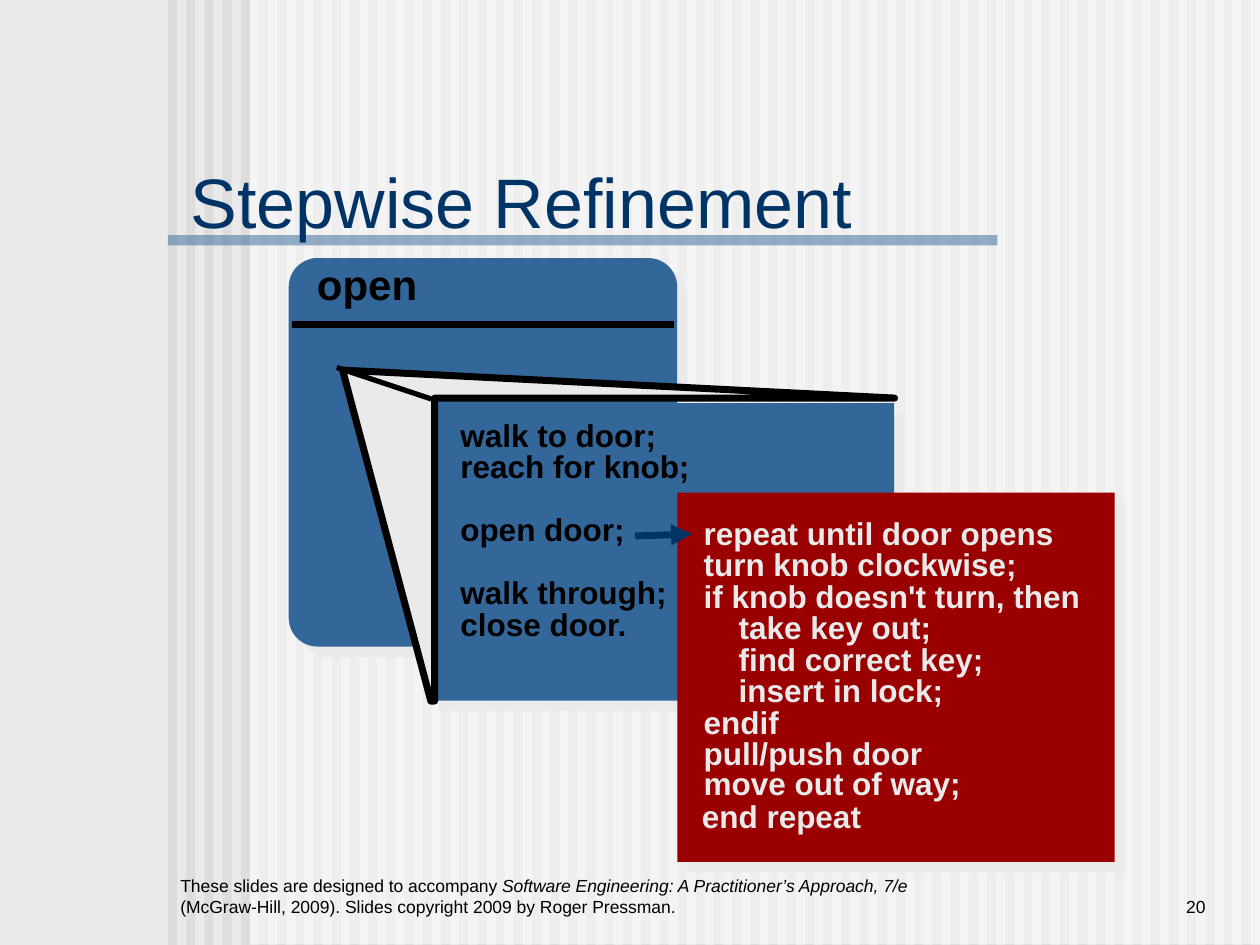
from dataclasses import dataclass

import lxml.etree
import pptx
import pptx.dml.color
import pptx.enum.shapes
import pptx.enum.text
import pptx.oxml
import pptx.oxml.ns
import pptx.util

Pt = pptx.util.Pt
qn = pptx.oxml.ns.qn
MSO_SHAPE = pptx.enum.shapes.MSO_SHAPE
MSO_ANCHOR = pptx.enum.text.MSO_ANCHOR
PP_ALIGN = pptx.enum.text.PP_ALIGN
NS = pptx.oxml.ns.nsdecls("a")

BLACK, NAVY, BLUE, RED, GREY = "000000", "003366", "336699", "9A0000", "EAEAEA"


@dataclass
class Panel:
    left: float
    top: float
    width: float
    height: float
    fill: str
    rounding: float = 0
    alpha: int = 100
    shadow: bool = False


@dataclass
class Label:
    left: float
    top: float
    width: float
    height: float
    lines: list[str]
    color: str
    size: float = 18
    spacing: float = 1.0


@dataclass
class Line:
    x1: float
    y1: float
    x2: float
    y2: float
    color: str
    width: float
    arrow: bool = False


def rgb(color: str):
    return pptx.dml.color.RGBColor.from_string(color)


def add_run(p, text: str, size: float, color: str, bold=False, italic=False) -> None:
    r = p.add_run()
    r.text = text
    r.font.name = "Arial"
    r.font.size = Pt(size)
    r.font.bold = bold
    r.font.italic = italic
    r.font.color.rgb = rgb(color)


def add_panel(s, panel: Panel) -> None:
    kind = MSO_SHAPE.ROUNDED_RECTANGLE if panel.rounding else MSO_SHAPE.RECTANGLE
    sp = s.shapes.add_shape(kind, Pt(panel.left), Pt(panel.top), Pt(panel.width), Pt(panel.height))
    if panel.rounding:
        sp.adjustments[0] = panel.rounding
    sp.fill.solid()
    sp.fill.fore_color.rgb = rgb(panel.fill)
    sp.line.fill.background()
    sp.shadow.inherit = False
    if panel.alpha < 100:
        clr = sp.element.spPr.find(".//" + qn("a:srgbClr"))
        lxml.etree.SubElement(clr, qn("a:alpha"), val=str(panel.alpha * 1000))
    if panel.shadow:
        sp.element.spPr.find(qn("a:effectLst")).append(pptx.oxml.parse_xml(
            f'<a:outerShdw {NS} dist="{Pt(8.5)}" dir="2700000" algn="ctr" rotWithShape="0">'
            f'<a:srgbClr val="{GREY}"/></a:outerShdw>'))


def add_label(s, label: Label) -> None:
    box = s.shapes.add_textbox(Pt(label.left), Pt(label.top), Pt(label.width), Pt(label.height))
    tf = box.text_frame
    tf.word_wrap = False
    tf.auto_size = pptx.enum.text.MSO_AUTO_SIZE.SHAPE_TO_FIT_TEXT
    for i, text in enumerate(label.lines):
        p = tf.add_paragraph() if i else tf.paragraphs[0]
        p.line_spacing = label.spacing
        add_run(p, text, label.size, label.color, bold=True)


def add_line(s, line: Line) -> None:
    cxn = s.shapes.add_connector(
        pptx.enum.shapes.MSO_CONNECTOR.STRAIGHT, Pt(line.x1), Pt(line.y1), Pt(line.x2), Pt(line.y2))
    cxn.line.color.rgb = rgb(line.color)
    cxn.line.width = Pt(line.width)
    if line.arrow:
        lxml.etree.SubElement(cxn.element.spPr.find(qn("a:ln")), qn("a:tailEnd"), type="triangle")
    lxml.etree.SubElement(cxn.element.spPr, qn("a:effectLst"))


def add_footer(s, left: float, width: float, align):
    box = s.shapes.add_textbox(Pt(left), Pt(491.5), Pt(width), Pt(36))
    tf = box.text_frame
    tf.word_wrap = True
    tf.vertical_anchor = MSO_ANCHOR.BOTTOM
    tf.paragraphs[0].alignment = align
    return tf.paragraphs[0]


def add_background(s) -> None:
    s.background.fill.solid()
    s.background.fill.fore_color.rgb = rgb(GREY)
    for i in range(60):
        add_panel(s, Panel(96 + 10.4 * i, 0, 5.2, 540, "DDDDDD"))
    add_panel(s, Panel(142.8, 0, 577.2, 539.5, "FFFFFF", alpha=50))
    add_panel(s, Panel(96, 134.4, 474, 5.8, BLUE, alpha=50))


def add_title(s) -> None:
    sp = s.shapes.title
    sp.element.getparent().append(sp.element)
    sp.left, sp.top, sp.width, sp.height = Pt(101.8), Pt(96), Pt(430), Pt(37.5)
    tf = sp.text_frame
    tf.word_wrap = True
    tf.auto_size = pptx.enum.text.MSO_AUTO_SIZE.NONE
    tf.vertical_anchor = MSO_ANCHOR.MIDDLE
    p = tf.paragraphs[0]
    p.alignment = PP_ALIGN.LEFT
    add_run(p, "Stepwise Refinement", 40, NAVY)


def add_zoom_wedge(s) -> None:
    builder = s.shapes.build_freeform(Pt(246.2), Pt(400.6), scale=1.0)
    points = [(195.8, 211.5), (511.2, 227.5), (248.4, 227.5), (248.4, 400.6)]
    builder.add_line_segments([(Pt(x), Pt(y)) for x, y in points], close=True)
    sp = builder.convert_to_shape()
    sp.fill.solid()
    sp.fill.fore_color.rgb = rgb(GREY)
    sp.line.color.rgb = rgb(BLACK)
    sp.line.width = Pt(4)
    lxml.etree.SubElement(sp.element.spPr.find(qn("a:ln")), qn("a:round"))
    sp.shadow.inherit = False


def main() -> None:
    prs = pptx.Presentation()
    prs.slide_width, prs.slide_height = Pt(720), Pt(540)
    s = prs.slides.add_slide(prs.slide_layouts.get_by_name("Title Only"))
    add_background(s)

    p = add_footer(s, 96, 432, PP_ALIGN.LEFT)
    add_run(p, "These slides are designed to accompany ", 10, BLACK)
    add_run(p, "Software Engineering: A Practitioner’s Approach, 7/e ", 10, BLACK, italic=True)
    add_run(p, "(McGraw-Hill, 2009). Slides copyright 2009 by Roger Pressman.", 10, BLACK)
    add_run(add_footer(s, 594, 102, PP_ALIGN.RIGHT), "20", 10, BLACK)
    add_title(s)

    add_panel(s, Panel(165, 147.5, 222, 222, BLUE, rounding=0.074, shadow=True))
    add_line(s, Line(167, 185.2, 385, 185.2, BLACK, 4))
    add_label(s, Label(174, 144, 74, 36, ["open"], BLACK, size=24))

    add_panel(s, Panel(245, 230.4, 266, 170, BLUE, shadow=True))
    door_steps = [(0, "walk to door;", 129), (1, "reach for knob;", 148), (3, "open door;", 111),
                  (5, "walk through;", 135), (6, "close door.", 113)]
    for row, text, width in door_steps:
        add_label(s, Label(256, 234 + 18 * row, width, 29 if row == 6 else 50.4, [text], BLACK))

    add_panel(s, Panel(387, 281.5, 250, 211, RED, shadow=True))
    knob_steps = [("repeat until door opens", 217), ("turn knob clockwise;", 196),
                  ("if knob doesn't turn, then", 232), ("    take key out;", 147),
                  ("    find correct key;", 177), ("    insert in lock;", 154), ("endif", 60)]
    for row, (text, width) in enumerate(knob_steps):
        add_label(s, Label(395, 290 + 18 * row, width, 50.4, [text], GREY))
    add_label(s, Label(395, 420, 164, 63, ["pull/push door", "move out of way;"], GREY, spacing=0.8))
    add_label(s, Label(394, 452, 108, 29, ["end repeat"], GREY))

    add_zoom_wedge(s)
    add_line(s, Line(363, 306.3, 395.5, 305.2, NAVY, 4, arrow=True))
    add_line(s, Line(192.5, 210, 246.5, 228, BLACK, 3))
    prs.save("out.pptx")


if __name__ == "__main__":
    main()
